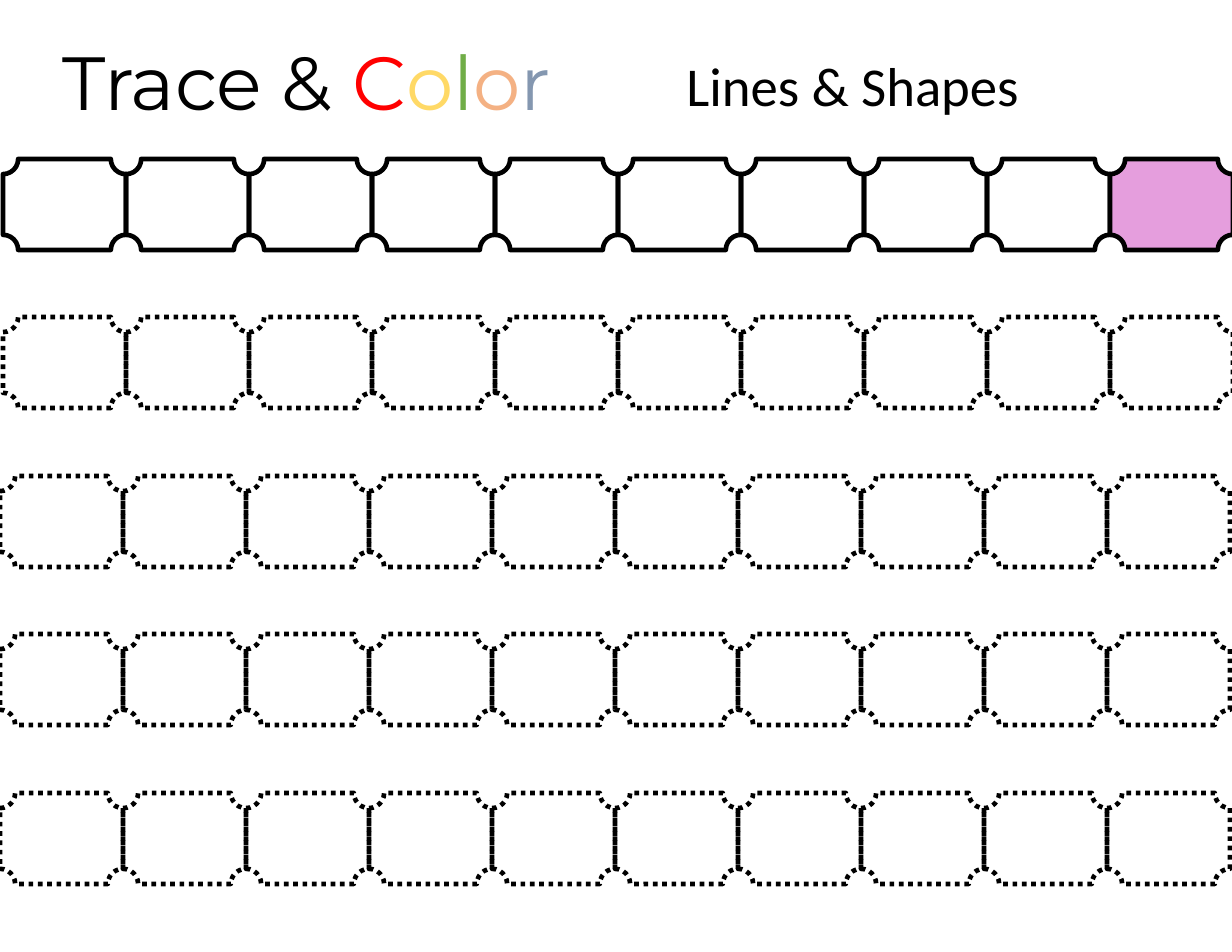
"""Build a tracing and colouring worksheet with rows of plaques."""
from dataclasses import dataclass
from typing import Optional

from pptx import Presentation
from pptx.dml.color import RGBColor
from pptx.enum.dml import MSO_LINE_DASH_STYLE as Dash
from pptx.enum.shapes import MSO_SHAPE as Preset
from pptx.enum.text import MSO_AUTO_SIZE as AutoSize, PP_ALIGN as Align
from pptx.slide import Slide
from pptx.util import Emu, Pt

PX_PER_INCH = 112
SLIDE_WIDTH, SLIDE_HEIGHT = 1232, 952
PLAQUE_WIDTH, PLAQUE_HEIGHT = 123, 91
PLAQUES_PER_ROW = 10
FIRST_ROW_TOP, LAST_ROW_TOP = 159, 793


@dataclass(frozen=True)
class Theme:
    ink: str = "000000"
    plaque_fill: str = "E59EDD"
    letters: tuple[str, ...] = ("FF0000", "FFD966", "70AD47", "F4B183", "8497B0")
    title_font: str = "Montserrat"
    title_size: float = 48.4
    subtitle_font: str = "Calibri"
    subtitle_size: float = 35.2
    outline: float = 3


@dataclass(frozen=True)
class PlaqueRow:
    left: int
    dash: Optional[Dash] = Dash.ROUND_DOT
    filled: Optional[int] = None


@dataclass(frozen=True)
class Span:
    text: str
    color: str


@dataclass(frozen=True)
class Heading:
    left: int
    top: int
    width: int
    height: int
    spans: tuple[Span, ...]
    font: str
    size: float
    align: Align = Align.LEFT


THEME = Theme()
ROWS = (
    PlaqueRow(3, dash=None, filled=PLAQUES_PER_ROW - 1),
    PlaqueRow(3),
    PlaqueRow(0),
    PlaqueRow(0),
    PlaqueRow(0),
)
HEADINGS = (
    Heading(51, 30, 617, 103,
            (Span("Trace & ", THEME.ink), *map(Span, "Color", THEME.letters)),
            THEME.title_font, THEME.title_size),
    Heading(566, 46, 573, 77, (Span("Lines & Shapes", THEME.ink),),
            THEME.subtitle_font, THEME.subtitle_size, Align.CENTER),
)


def px(length: int) -> Emu:
    """Turn whole pixels into EMU."""
    return Emu(round(length * 914400 / PX_PER_INCH))


def draw_row(slide: Slide, row: PlaqueRow, top: int) -> None:
    """Draw one grouped row of touching plaques."""
    group = slide.shapes.add_group_shape()
    for column in range(PLAQUES_PER_ROW):
        plaque = group.shapes.add_shape(
            Preset.PLAQUE, px(row.left + column * PLAQUE_WIDTH), px(top),
            px(PLAQUE_WIDTH), px(PLAQUE_HEIGHT))
        plaque.shadow.inherit = False
        if column == row.filled:
            plaque.fill.solid()
            plaque.fill.fore_color.rgb = RGBColor.from_string(THEME.plaque_fill)
        else:
            plaque.fill.background()
        plaque.line.color.rgb = RGBColor.from_string(THEME.ink)
        plaque.line.width = Pt(THEME.outline)
        if row.dash is not None:
            plaque.line.dash_style = row.dash


def draw_heading(slide: Slide, heading: Heading) -> None:
    """Draw a one-line heading made of coloured spans."""
    box = slide.shapes.add_textbox(px(heading.left), px(heading.top),
                                   px(heading.width), px(heading.height))
    text_frame = box.text_frame
    text_frame.word_wrap = True
    text_frame.auto_size = AutoSize.SHAPE_TO_FIT_TEXT
    paragraph = text_frame.paragraphs[0]
    paragraph.alignment = heading.align
    for span in heading.spans:
        run = paragraph.add_run()
        run.text = span.text
        run.font.name = heading.font
        run.font.size = Pt(heading.size)
        run.font.color.rgb = RGBColor.from_string(span.color)


def main() -> None:
    """Build and save the worksheet."""
    presentation = Presentation()
    presentation.slide_width = px(SLIDE_WIDTH)
    presentation.slide_height = px(SLIDE_HEIGHT)
    slide = presentation.slides.add_slide(presentation.slide_layouts[6])
    row_span = LAST_ROW_TOP - FIRST_ROW_TOP
    for index, row in enumerate(ROWS):
        draw_row(slide, row, FIRST_ROW_TOP + index * row_span // (len(ROWS) - 1))
    for heading in HEADINGS:
        draw_heading(slide, heading)
    presentation.save("out.pptx")


if __name__ == "__main__":
    main()
